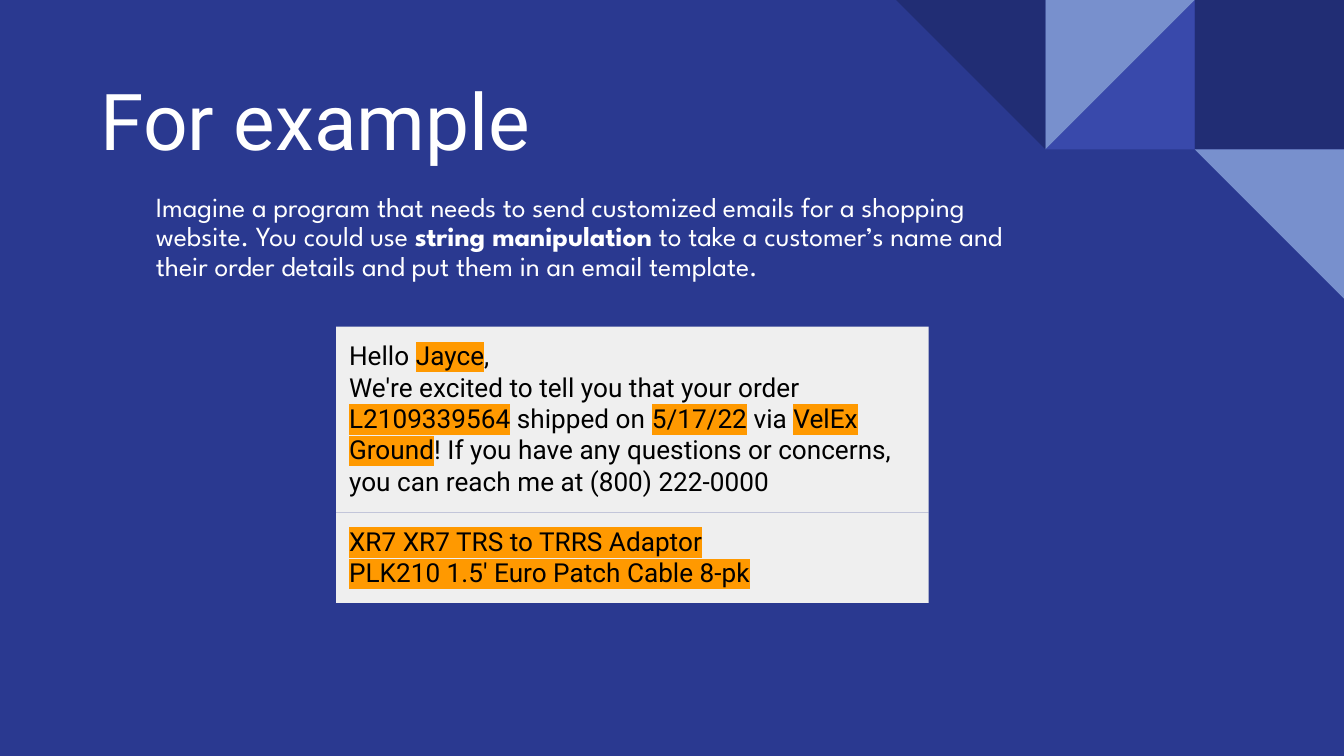
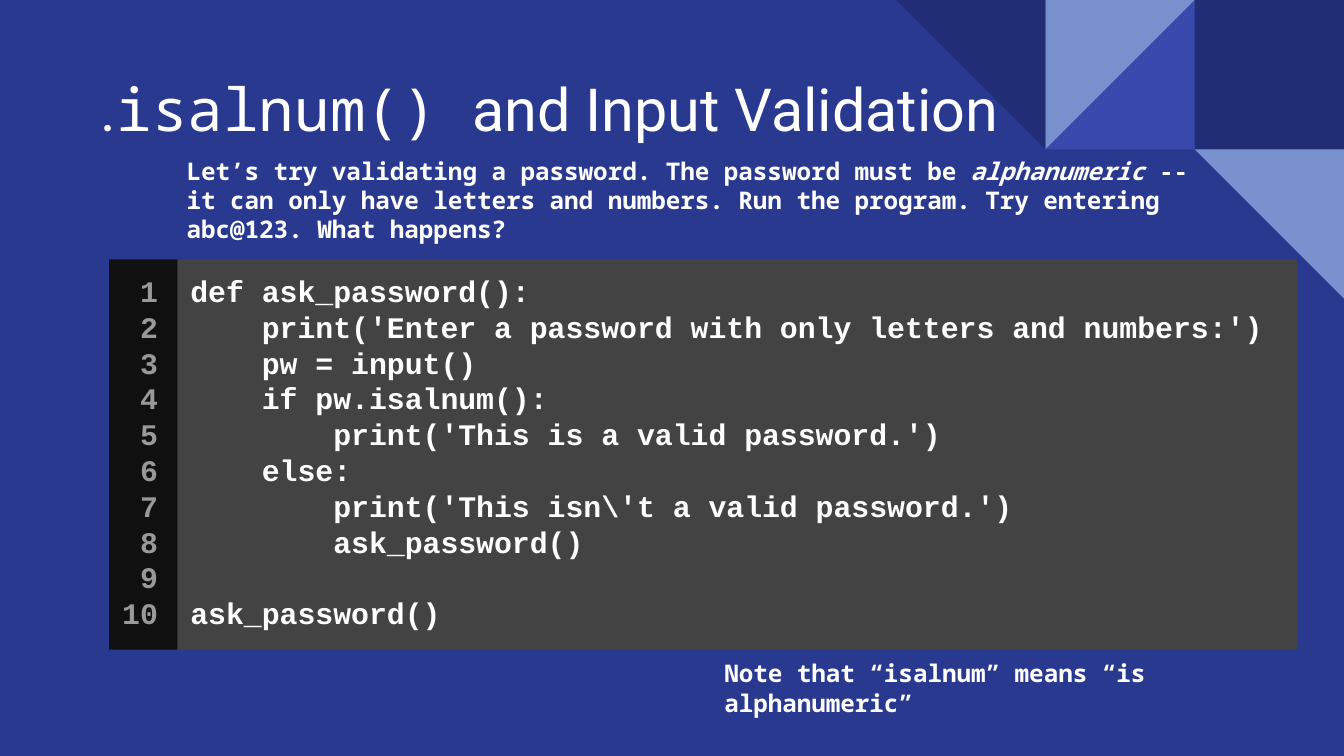
from dataclasses import dataclass

from lxml import etree
from pptx import Presentation
from pptx.dml.color import RGBColor
from pptx.enum import shapes, text
from pptx.oxml.ns import qn
from pptx.util import Pt

PX = 6350  # EMU per px, 144 px to the inch
WIDTH, HEIGHT = 1440, 810
TILE = 160
INSET = 14


@dataclass(frozen=True)
class Theme:
    background: str = "2A3990"
    navy: str = "212D74"
    indigo: str = "3949AB"
    sky: str = "7890CD"
    white: str = "FFFFFF"
    black: str = "000000"
    paper: str = "EFEFEF"
    marker: str = "FF9900"
    editor: str = "434343"
    gutter: str = "101010"
    line_number: str = "999999"
    sans: str = "Roboto"
    display: str = "League Spartan"
    mono: str = "Noto Sans Mono"
    code: str = "Courier New"
    title_size: float = 42
    long_title_size: float = 31.8
    intro_size: float = 14.8
    mail_size: float = 14
    remark_size: float = 13
    code_size: float = 16


class Deck:
    def __init__(self, theme):
        self.theme = theme
        self.presentation = Presentation()
        self.presentation.slide_width = WIDTH * PX
        self.presentation.slide_height = HEIGHT * PX
        self.slide = None

    def new_slide(self):
        self.slide = self.presentation.slides.add_slide(self.presentation.slide_layouts[6])
        fill = self.slide.background.fill
        fill.solid()
        fill.fore_color.rgb = RGBColor.from_string(self.theme.background)
        self.mosaic()

    def mosaic(self):
        """Draw the corner tiles, counted in columns from the right edge."""
        square, triangle = shapes.MSO_SHAPE.RECTANGLE, shapes.MSO_SHAPE.RIGHT_TRIANGLE
        theme = self.theme
        tiles = [
            (square, 1, 0, theme.navy, 0),
            (triangle, 2, 0, theme.indigo, 270),
            (triangle, 2, 0, theme.sky, 90),
            (triangle, 3, 0, theme.navy, 180),
            (triangle, 1, 1, theme.sky, 180),
        ]
        for kind, column, row, color, rotation in tiles:
            box = (WIDTH - column * TILE, row * TILE, TILE, TILE)
            self.shape(kind, box, color).rotation = rotation

    def shape(self, kind, box, color):
        shape = self.slide.shapes.add_shape(kind, *(length * PX for length in box))
        shape.shadow.inherit = False
        shape.fill.solid()
        shape.fill.fore_color.rgb = RGBColor.from_string(color)
        shape.line.fill.background()
        return shape

    def panel(self, box, fill, paragraphs, **style):
        shape = self.shape(shapes.MSO_SHAPE.RECTANGLE, box, fill)
        self.set_text(shape.text_frame, paragraphs, **style)

    def text_box(self, box, paragraphs, **style):
        shape = self.slide.shapes.add_textbox(*(length * PX for length in box))
        self.set_text(shape.text_frame, paragraphs, **style)

    def title(self, top, runs, size):
        self.text_box((94, top, 1295, 132), [runs], font=self.theme.sans, size=size,
                      anchor=text.MSO_ANCHOR.BOTTOM, grow=False)

    def remark(self, box, runs):
        self.text_box(box, [runs], font=self.theme.mono, size=self.theme.remark_size,
                      bold=True, anchor=text.MSO_ANCHOR.MIDDLE)

    def set_text(self, frame, paragraphs, anchor=text.MSO_ANCHOR.TOP, grow=True,
                 line_spacing=None, **style):
        """Fill a frame; a paragraph is a string or a list of strings and (string, style)."""
        frame.word_wrap = True
        frame.vertical_anchor = anchor
        frame.auto_size = (text.MSO_AUTO_SIZE.SHAPE_TO_FIT_TEXT if grow
                           else text.MSO_AUTO_SIZE.NONE)
        frame.margin_left = frame.margin_right = INSET * PX
        frame.margin_top = frame.margin_bottom = INSET * PX
        for index, content in enumerate(paragraphs):
            paragraph = frame.add_paragraph() if index else frame.paragraphs[0]
            paragraph.alignment = text.PP_ALIGN.LEFT
            if line_spacing:
                paragraph.line_spacing = line_spacing
            if not content:
                etree.SubElement(paragraph._p, qn("a:endParaRPr"),
                                 sz=str(int(style["size"] * 100)))
                continue
            for piece in [content] if isinstance(content, str) else content:
                words, changes = (piece, {}) if isinstance(piece, str) else piece
                run = paragraph.add_run()
                run.text = words
                self.format_run(run, **{**style, **changes})

    def format_run(self, run, font, size, color=None, bold=False, italic=False,
                   highlight=None):
        run.font.name = font
        run.font.size = Pt(size)
        run.font.bold = bold
        run.font.italic = italic
        run.font.color.rgb = RGBColor.from_string(color or self.theme.white)
        if highlight:
            properties = run.font._element
            mark = etree.Element(qn("a:highlight"))
            etree.SubElement(mark, qn("a:srgbClr"), val=highlight)
            properties.find(qn("a:solidFill")).addnext(mark)


def example_slide(deck):
    theme = deck.theme
    deck.new_slide()
    deck.title(60, "For example", theme.title_size)
    deck.text_box(
        (153, 193, 988, 125),
        [["Imagine a program that needs to send customized emails for a shopping website. "
          "You could use ",
          ("string manipulation", {"bold": True}),
          " to take a customer’s name and their order details and put them in an "
          "email template."]],
        font=theme.display, size=theme.intro_size, line_spacing=0.9)

    def filled_in(words):
        return words, {"highlight": theme.marker}

    greeting = ["Hello ", filled_in("Jayce"), ","]
    message = [
        "We're excited to tell you that your order ", filled_in("L2109339564"),
        " shipped on ", filled_in("5/17/22"),
        " via ", filled_in("VelEx Ground"),
        "! If you have any questions or concerns, you can reach me at (800) 222-0000",
    ]
    items = [[filled_in("XR7 XR7 TRS to TRRS Adaptor")],
             [filled_in("PLK210 1.5' Euro Patch Cable 8-pk")]]
    mail_style = {"font": theme.sans, "size": theme.mail_size, "color": theme.black}
    left, top, width, mail_height = 360, 350, 635, 199
    deck.panel((left, top, width, mail_height), theme.paper, [greeting, message], **mail_style)
    deck.panel((left, top + mail_height, width, 97), theme.paper, items, **mail_style)


PASSWORD_CODE = r"""
def ask_password():
    print('Enter a password with only letters and numbers:')
    pw = input()
    if pw.isalnum():
        print('This is a valid password.')
    else:
        print('This isn\'t a valid password.')
        ask_password()

ask_password()
""".strip().splitlines()


def validation_slide(deck):
    theme = deck.theme
    deck.new_slide()
    deck.title(36, [".", ("isalnum() ", {"font": theme.mono}), "and Input Validation"],
               theme.long_title_size)

    code_style = {"font": theme.code, "size": theme.code_size, "bold": True}
    left, top, gutter_width, height = 117, 278, 73, 418
    numbers = [f"{number:2}" for number in range(1, len(PASSWORD_CODE) + 1)]
    deck.panel((left + gutter_width, top, 1200, height), theme.editor, PASSWORD_CODE,
               **code_style)
    deck.panel((left, top, gutter_width, height), theme.gutter, numbers,
               color=theme.line_number, **code_style)

    deck.remark(
        (186, 168, 1113, 92),
        ["Let’s try validating a password. The password must be ",
         ("alphanumeric", {"italic": True}),
         " -- it can only have letters and numbers. Run the program. "
         "Try entering abc@123. What happens?"])
    deck.remark((762, 707, 628, 60), "Note that “isalnum” means “is alphanumeric”")


def main():
    deck = Deck(Theme())
    example_slide(deck)
    validation_slide(deck)
    deck.presentation.save("out.pptx")


if __name__ == "__main__":
    main()
